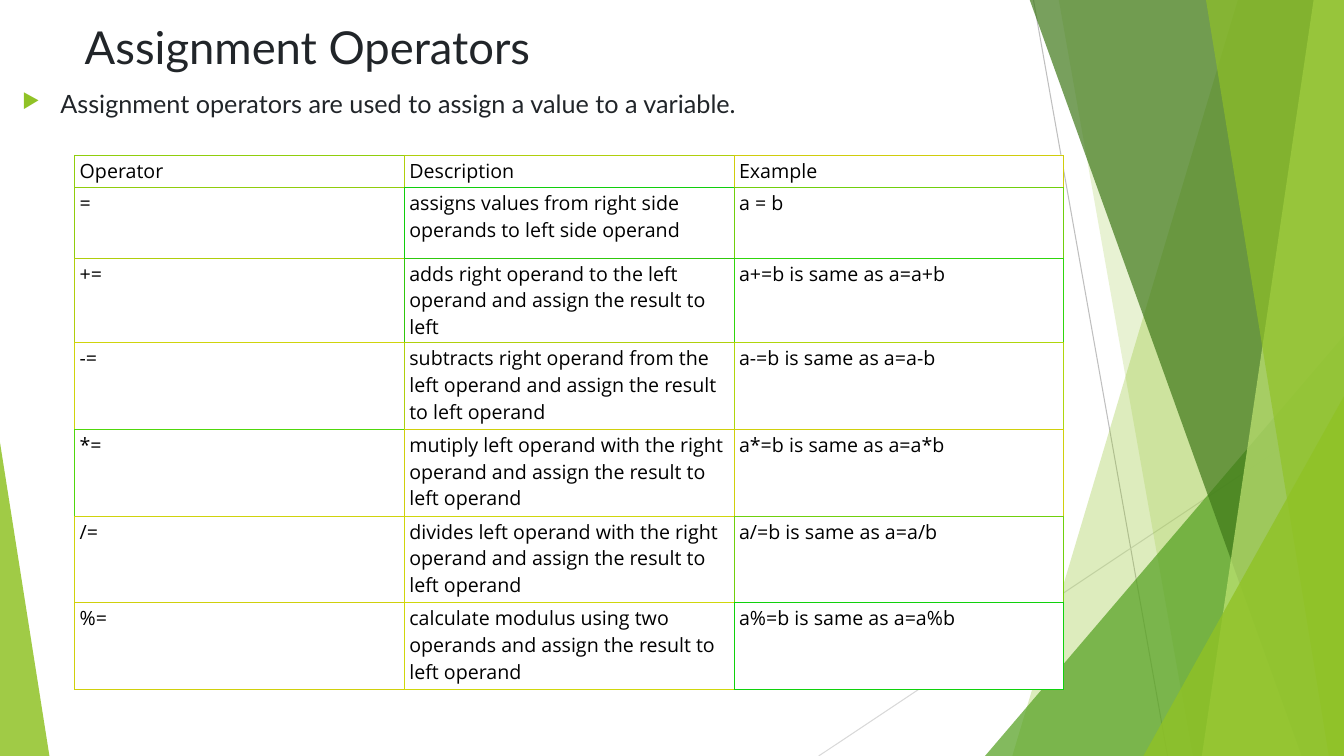
from lxml import etree
from pptx import Presentation
from pptx import util as u
from pptx.dml.color import RGBColor
from pptx.enum import shapes, text
from pptx.oxml import ns

Inches = u.Inches
WIDTH, HEIGHT = 13.33, 7.5
COLOURS = {
    "paper": "FFFFFF", "ink": "212529", "table text": "000000",
    "grey": "BFBFBF", "light grey": "D9D9D9",
    "lime": "90C226", "green": "54A021", "dark green": "3F7819", "pale lime": "C0E474",
}


def add_xml(parent, tag, **attributes):
    return etree.SubElement(parent, ns.qn(tag), attributes)


class SlideBuilder:
    heading_font, table_font = "Lato", "Open Sans"

    def __init__(self, slide):
        self.slide = slide

    def format_text(self, frame, font, size, colour):
        for paragraph in frame.paragraphs:
            for run in paragraph.runs:
                run.font.name = font
                run.font.size = u.Pt(size)
                run.font.color.rgb = RGBColor.from_string(COLOURS[colour])

    def line(self, start, end, colour):
        connector = self.slide.shapes.add_connector(
            shapes.MSO_CONNECTOR.STRAIGHT, *map(Inches, start + end))
        connector.line.color.rgb = RGBColor.from_string(COLOURS[colour])
        connector.line.width = u.Pt(0.75)
        add_xml(connector._element.spPr, "a:effectLst")

    def paint(self, shape, colour, opacity):
        shape.shadow.inherit = False
        shape.fill.solid()
        shape.fill.fore_color.rgb = RGBColor.from_string(COLOURS[colour])
        shape.line.fill.background()
        colour_node = shape._element.spPr.find(ns.qn("a:solidFill"))[0]
        add_xml(colour_node, "a:alpha", val=str(opacity * 1000))

    def band(self, top_x, bottom_x, colour, opacity):
        """Slanted band reaching to the right edge of the slide."""
        top = Inches(-0.01)
        builder = self.slide.shapes.build_freeform(Inches(top_x), top, scale=1.0)
        builder.add_line_segments([
            (Inches(WIDTH), top), (Inches(WIDTH), Inches(HEIGHT)),
            (Inches(bottom_x), Inches(HEIGHT))], close=True)
        self.paint(builder.convert_to_shape(), colour, opacity)

    def triangle(self, left, top, width, apex, colour, opacity):
        """Right-angled triangle standing on the bottom edge."""
        shape = self.slide.shapes.add_shape(
            shapes.MSO_SHAPE.ISOSCELES_TRIANGLE,
            *map(Inches, (left, top, width, HEIGHT - top)))
        shape.adjustments[0] = apex
        self.paint(shape, colour, opacity)

    def title(self, words, left, top, width, height):
        title = self.slide.shapes.title
        title.left, title.top, title.width, title.height = map(
            Inches, (left, top, width, height))
        frame = title.text_frame
        frame.text = words
        frame.auto_size = text.MSO_AUTO_SIZE.NONE
        frame.vertical_anchor = text.MSO_ANCHOR.TOP
        frame.paragraphs[0].alignment = text.PP_ALIGN.LEFT
        self.format_text(frame, self.heading_font, 32.4, "ink")

    def bullet(self, words, left, top, width, height):
        box = self.slide.shapes.add_textbox(*map(Inches, (left, top, width, height)))
        frame = box.text_frame
        frame.word_wrap = True
        paragraph = frame.paragraphs[0]
        paragraph.text = words
        paragraph.space_before = u.Pt(10)
        properties = paragraph._p.get_or_add_pPr()
        properties.set("marL", str(Inches(0.38)))
        properties.set("indent", str(Inches(-0.38)))
        add_xml(add_xml(properties, "a:buClr"), "a:srgbClr", val=COLOURS["lime"])
        add_xml(properties, "a:buSzPct", val="80000")
        add_xml(properties, "a:buChar", char="▶")
        self.format_text(frame, self.heading_font, 18, "ink")

    def cell(self, cell, words, borders):
        cell.text_frame.text = words
        cell.margin_left = cell.margin_right = Inches(0.05)
        cell.margin_top = cell.margin_bottom = Inches(0.02)
        properties = cell._tc.get_or_add_tcPr()
        for side, colour in borders.items():
            edge = add_xml(properties, f"a:ln{side}", w=str(u.Pt(0.6)))
            add_xml(add_xml(edge, "a:solidFill"), "a:srgbClr", val=colour)
        cell.fill.solid()
        cell.fill.fore_color.rgb = RGBColor.from_string(COLOURS["paper"])
        self.format_text(cell.text_frame, self.table_font, 14, "table text")

    def table(self, rows, edges, heights, left, top, column_width):
        """Each cell owns its left and top edge; neighbours give the other two."""
        last_row, last_column = len(rows) - 1, len(rows[0]) - 1
        table = self.slide.shapes.add_table(
            len(rows), len(rows[0]), Inches(left), Inches(top),
            Inches(column_width * len(rows[0])), Inches(sum(heights))).table
        table.first_row = table.horz_banding = False
        for column in table.columns:
            column.width = Inches(column_width)
        for r, row in enumerate(rows):
            table.rows[r].height = Inches(heights[r])
            for c, words in enumerate(row):
                own = edges[r][c]
                self.cell(table.cell(r, c), words, {
                    "L": own, "R": edges[r][min(c + 1, last_column)],
                    "T": own, "B": edges[min(r + 1, last_row)][c]})


presentation = Presentation()
presentation.slide_width, presentation.slide_height = Inches(WIDTH), Inches(HEIGHT)
builder = SlideBuilder(presentation.slides.add_slide(presentation.slide_layouts[5]))

# Green facets behind the content
builder.line((10.25, 0), (11.58, HEIGHT), "grey")
builder.line((WIDTH, 4.03), (8.12, HEIGHT), "light grey")
builder.band(12.28, 10.04, "lime", 30)
builder.band(10.5, 11.83, "lime", 20)
builder.triangle(9.77, 3.33, 3.56, 1, "green", 72)
builder.band(10.21, 12.91, "dark green", 70)
builder.band(13.03, 11.92, "pale lime", 70)
builder.band(11.96, 13.18, "lime", 65)
builder.triangle(11.34, 3.93, 1.99, 1, "lime", 80)
builder.triangle(0, 4.39, 0.49, 0, "lime", 85)

# Title and introduction
builder.title("Assignment Operators", 0.74, 0.14, 9.4, 0.55)
builder.bullet("Assignment operators are used to assign a value to a variable.",
               0.12, 0.83, 13.22, 5.77)

# Operator table
compound = {
    "+=": "adds right operand to the left operand and assign the result to left",
    "-=": "subtracts right operand from the left operand and assign the result to left operand",
    "*=": "mutiply left operand with the right operand and assign the result to left operand",
    "/=": "divides left operand with the right operand and assign the result to left operand",
    "%=": "calculate modulus using two operands and assign the result to left operand",
}
operator_rows = [
    ("Operator", "Description", "Example"),
    ("=", "assigns values from right side operands to left side operand", "a = b"),
] + [(operator, description, f"a{operator}b\u00a0is same as\u00a0a=a{operator[0]}b")
     for operator, description in compound.items()]
edge_colours = [
    ("90CE0C", "B0CF0C", "D0CD0C"),
    ("90CD0C", "10CE0C", "70CF0C"),
    ("B0CE0C", "30C80C", "30D60C"),
    ("D0D40C", "B0D00C", "B0D60C"),
    ("50D70C", "D0D00C", "D0D00C"),
    ("D0D30C", "D0D60C", "70D00C"),
    ("D0D00C", "D0D70C", "10D10C"),
]
row_heights = [0.32, 0.7, 0.84] + [0.86] * 4
builder.table(operator_rows, edge_colours, row_heights, 0.74, 1.54, 3.27)

presentation.save("out.pptx")
